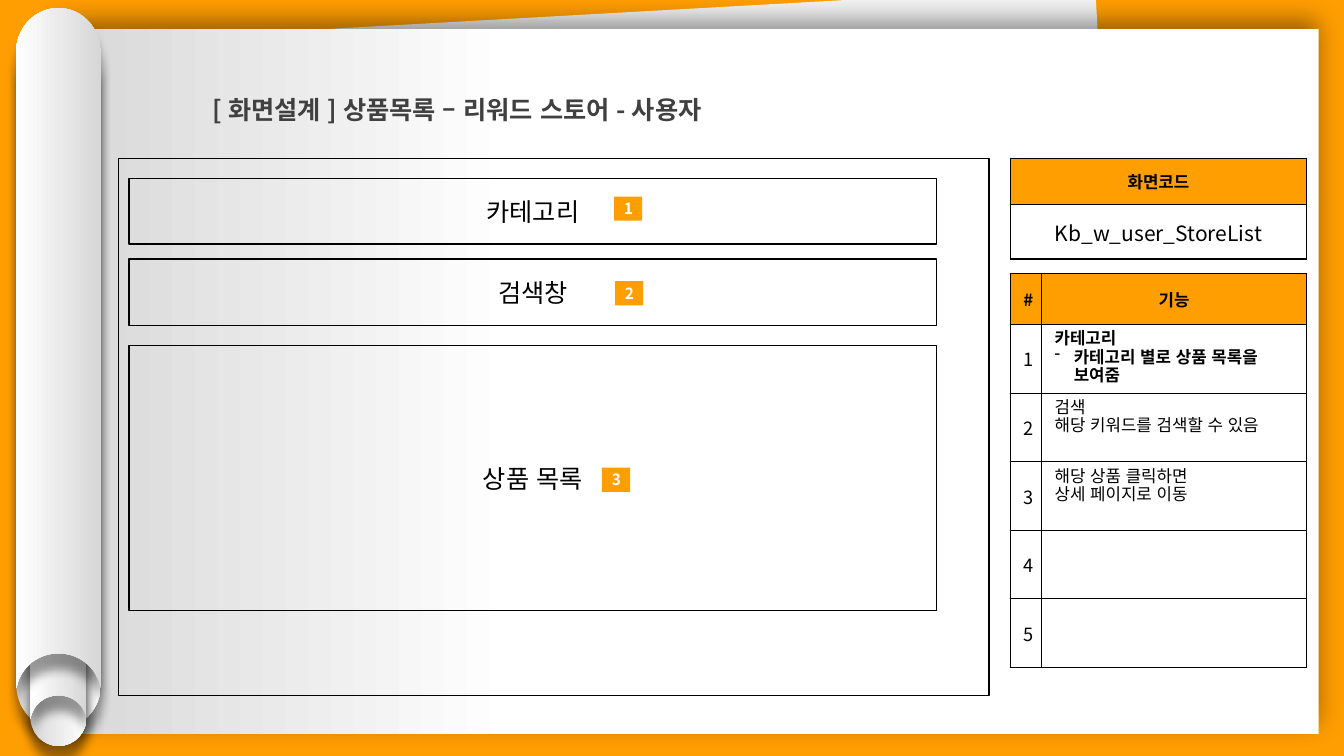
from lxml.etree import SubElement
from pptx import Presentation
from pptx.dml.color import RGBColor
from pptx.enum.shapes import MSO_SHAPE
from pptx.enum.text import MSO_ANCHOR, PP_ALIGN
from pptx.oxml.ns import qn
from pptx.util import Inches, Pt

ORANGE = RGBColor(0xFF, 0x9E, 0x00)
BLACK = RGBColor(0, 0, 0)
WHITE = RGBColor(0xFF, 0xFF, 0xFF)
CHARCOAL = RGBColor(0x40, 0x40, 0x40)
PALE = RGBColor(0xF2, 0xF2, 0xF2)
SILVER = RGBColor(0xD7, 0xD7, 0xD7)


class Wireframe:
    font = "Noto Sans CJK KR"

    def __init__(self, page):
        self.page = page

    def style(self, para, size, color=BLACK, bold=False, align=None):
        para.alignment = align
        for span in para.runs:
            span.font.size = Pt(size)
            span.font.bold = bold
            span.font.name = self.font
            span.font.color.rgb = color
            properties = span.font._element
            properties.set("lang", "ko-KR")
            properties.set("kern", "0")
            SubElement(properties, qn("a:ea"), typeface=self.font)

    def gradient(self, shape, stops):
        shape.fill.gradient()
        shape.fill.gradient_angle = 180
        for stop, (position, color) in zip(shape.fill.gradient_stops, stops):
            stop.position = position
            stop.color.rgb = color

    def shadow(self, shape, blur, distance, direction):
        effects = shape._element.spPr.find(qn("a:effectLst"))
        outer = SubElement(effects, qn("a:outerShdw"), blurRad=str(Pt(blur)),
                           dist=str(Pt(distance)), dir=str(direction * 60000),
                           algn="ctr", rotWithShape="0")
        tint = SubElement(outer, qn("a:srgbClr"), val=str(BLACK))
        SubElement(tint, qn("a:alpha"), val="40000")

    def box(self, left, top, width, height, fill=None, line=None,
            text="", size=18, color=BLACK, bold=False):
        box = self.page.shapes.add_shape(
            MSO_SHAPE.RECTANGLE, Inches(left), Inches(top), Inches(width), Inches(height))
        box.shadow.inherit = False
        if fill is None:
            box.fill.background()
        else:
            box.fill.solid()
            box.fill.fore_color.rgb = fill
        if line is None:
            box.line.fill.background()
        else:
            box.line.color.rgb = BLACK
            box.line.width = Pt(line)
        if text:
            box.text_frame.text = text
            box.text_frame.vertical_anchor = MSO_ANCHOR.MIDDLE
            self.style(box.text_frame.paragraphs[0], size, color, bold, PP_ALIGN.CENTER)
        return box

    def roll(self, left, top, width, height, rotation):
        """Paper tube with a rounded top and an arched notch at the bottom."""
        radius = width / 2
        end = height / radius
        # Each step holds its end point last, in radii from the top centre
        steps = [
            [(0.56, 0), (1, 0.47), (1, 1.05)],
            [(1, end)],
            [(0.95, end - 0.17)],
            [(0.81, end - 0.57), (0.43, end - 0.83), (0, end - 0.83)],
            [(-0.43, end - 0.83), (-0.81, end - 0.57), (-0.95, end - 0.17)],
            [(-1, end)],
            [(-1, 1.05)],
            [(-1, 0.47), (-0.56, 0), (0, 0)],
        ]

        def place(x, y):
            return Inches(left + radius + x * radius), Inches(top + y * radius)

        builder = self.page.shapes.build_freeform(*place(0, 0))
        builder.add_line_segments([place(*step[-1]) for step in steps], close=True)
        tube = builder.convert_to_shape()
        segments = list(tube._element.iter(qn("a:lnTo")))
        for segment, (*handles, _) in zip(segments, steps):
            if handles:
                segment.tag = qn("a:cubicBezTo")
                for index, handle in enumerate(handles):
                    x, y = place(*handle)
                    point = SubElement(segment, qn("a:pt"),
                                       x=str(x - tube.left), y=str(y - tube.top))
                    segment.insert(index, point)
        tube.rotation = rotation
        tube.shadow.inherit = False
        tube.line.fill.background()
        self.gradient(tube, [(0, SILVER), (1, WHITE)])
        self.shadow(tube, 7, 11, 90)

    def title(self, left, top, width, height, text):
        box = self.page.shapes.add_textbox(
            Inches(left), Inches(top), Inches(width), Inches(height))
        frame = box.text_frame
        frame.word_wrap = True
        frame.margin_left = frame.margin_right = Inches(0.07)
        frame.margin_top = frame.margin_bottom = Inches(0.04)
        frame.text = text
        frame.paragraphs[0].line_spacing = 1.5
        self.style(frame.paragraphs[0], 18, CHARCOAL, True)

    def table(self, left, top, widths, heights):
        table = self.page.shapes.add_table(
            len(heights), len(widths), Inches(left), Inches(top),
            Inches(sum(widths)), Inches(sum(heights))).table
        table.first_row = table.horz_banding = False
        for column, width in zip(table.columns, widths):
            column.width = Inches(width)
        for row, height in zip(table.rows, heights):
            row.height = Inches(height)
        for cell in table.iter_cells():
            cell.margin_left = cell.margin_right = Inches(0.13)
            cell.margin_top = cell.margin_bottom = Inches(0.07)
            for side in ("lnL", "lnR", "lnT", "lnB"):
                border = SubElement(cell._tc.get_or_add_tcPr(), qn(f"a:{side}"), w=str(Pt(1)))
                paint = SubElement(border, qn("a:solidFill"))
                SubElement(paint, qn("a:srgbClr"), val=str(BLACK))
            cell.fill.background()
        return table

    def label(self, cell, text, size, header=False):
        cell.text = text
        cell.vertical_anchor = MSO_ANCHOR.MIDDLE
        self.style(cell.text_frame.paragraphs[0], size, BLACK, header, PP_ALIGN.CENTER)
        if header:
            cell.fill.solid()
            cell.fill.fore_color.rgb = ORANGE

    def details(self, cell, lines, emphasized):
        cell.text = "\n".join(lines)
        for index, para in enumerate(cell.text_frame.paragraphs):
            para.line_spacing = Pt(13)
            if emphasized and index:
                properties = para._p.get_or_add_pPr()
                properties.set("marL", str(Inches(0.19)))
                properties.set("indent", str(-Inches(0.19)))
                SubElement(properties, qn("a:buFontTx"))
                SubElement(properties, qn("a:buChar"), char="-")
            self.style(para, 12, BLACK, emphasized)


def main():
    deck = Presentation()
    deck.slide_width, deck.slide_height = Inches(13.33), Inches(7.5)
    page = deck.slides.add_slide(deck.slide_layouts[6])
    page.background.fill.solid()
    page.background.fill.fore_color.rgb = ORANGE
    frame = Wireframe(page)

    # Paper sheets
    frame.box(0.91, 0.14, 10.15, 6.8, fill=PALE).rotation = 356.8
    sheet = frame.box(0.58, 0.29, 12.5, 6.99)
    frame.gradient(sheet, [(0.64, WHITE), (1, SILVER)])
    frame.shadow(sheet, 18, 6, 270)

    # Rolled edge
    wide, narrow = (0.84, 6.75), (0.56, 4.52)
    for left, top, size, rotation in [(0.16, 0.48, wide, 180), (0.3, 2.88, narrow, 180),
                                      (0.3, 2.61, narrow, 0), (0.16, 0.08, wide, 0)]:
        frame.roll(left, top, *size, rotation)

    # Screen code
    code = frame.table(10.02, 1.57, [2.94], [0.46, 0.54])
    frame.label(code.cell(0, 0), "화면코드", 12, header=True)
    frame.label(code.cell(1, 0), "Kb_w_user_StoreList", 15)

    # Function list
    functions = [["카테고리", "카테고리 별로 상품 목록을 보여줌"],
                 ["검색", "해당 키워드를 검색할 수 있음"],
                 ["해당 상품 클릭하면", "상세 페이지로 이동"], [], []]
    listing = frame.table(10.02, 2.71, [0.31, 2.63], [0.51] + [0.68] * len(functions))
    for column, heading in enumerate(["#", "기능"]):
        frame.label(listing.cell(0, column), heading, 12, header=True)
    for number, lines in enumerate(functions, 1):
        frame.label(listing.cell(number, 0), str(number), 13)
        if lines:
            frame.details(listing.cell(number, 1), lines, number == 1)

    # Screen layout
    frame.box(1.18, 1.57, 8.63, 5.33, line=0.75)
    for top, height, text in [(1.77, 0.65, "카테고리"), (2.57, 0.66, "검색창"),
                              (3.43, 2.63, "상품 목록")]:
        frame.box(1.28, top, 8.01, height, line=1, text=text)
    frame.title(2.04, 0.75, 7.21, 0.53, "[ 화면설계 ] 상품목록 – 리워드 스토어 - 사용자")

    # Number badges
    for number, (left, top) in enumerate([(6.09, 1.95), (6.1, 2.79), (5.97, 4.64)], 1):
        frame.box(left, top, 0.28, 0.24, fill=ORANGE, text=str(number),
                  size=11, color=WHITE, bold=True)

    deck.save("out.pptx")


if __name__ == "__main__":
    main()
